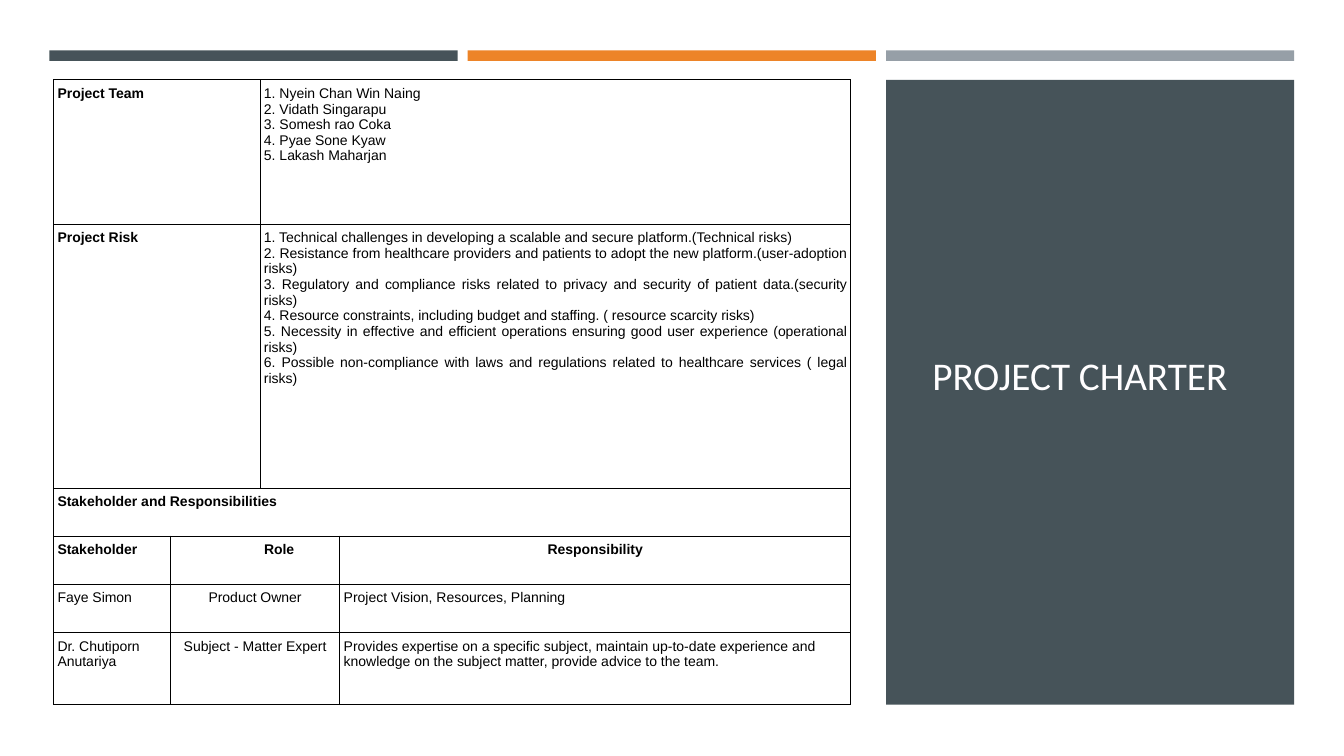
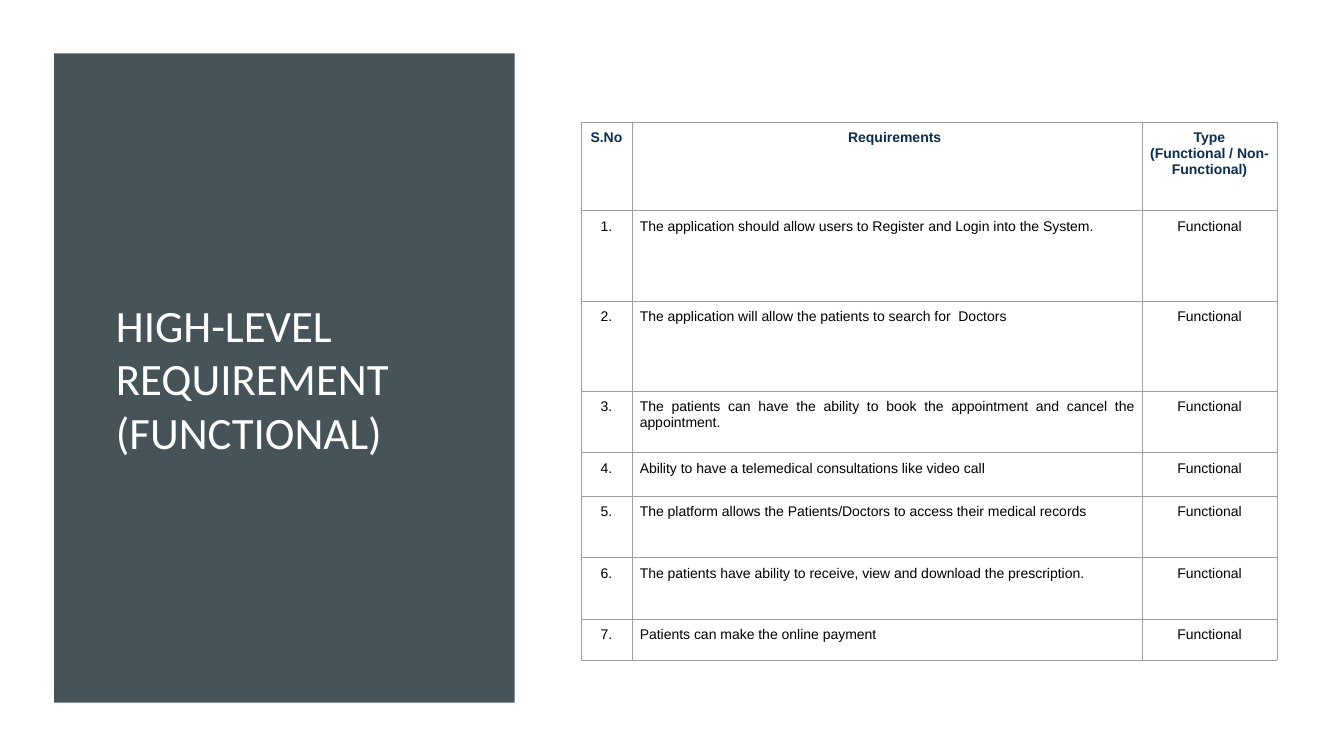
"""Build the project charter and functional requirement slides."""
from dataclasses import dataclass

import lxml.etree
import pptx
import pptx.dml.color
import pptx.enum.shapes
import pptx.enum.text
import pptx.oxml.ns
import pptx.slide
import pptx.table
import pptx.util

Pt = pptx.util.Pt
Align = pptx.enum.text.PP_ALIGN
LEFT, CENTER, JUSTIFY = Align.LEFT, Align.CENTER, Align.JUSTIFY

SLATE, ORANGE, GREY = "465359", "ED8428", "969FA7"
BLACK, NAVY, RULE = "000000", "0A2E4E", "9E9E9E"
WHITE, TITLE_WHITE = "FFFFFF", "FFFEFF"
BAR_LEFT, BAR_TOP, BAR_WIDTH, BAR_HEIGHT, BAR_PITCH = 35.3, 36, 291.6, 7.5, 298.8


@dataclass
class Box:
    """A rectangle in points."""
    left: float
    top: float
    width: float
    height: float

    def lengths(self) -> list[pptx.util.Length]:
        """Return the four measures as lengths."""
        return [Pt(v) for v in (self.left, self.top, self.width, self.height)]


@dataclass
class Title:
    """A slide title with its place and look."""
    text: str
    box: Box
    size: float
    color: str


@dataclass
class Cell:
    """A table cell; each line of text is a paragraph."""
    text: str
    align: Align = JUSTIFY
    bold: bool = False
    span: int = 1
    color: str = BLACK
    indent: float = 0


@dataclass
class Grid:
    """A bordered table and its measures in points."""
    left: float
    top: float
    cols: list[float]
    heights: list[float]
    margins: tuple[float, float]
    border: str
    border_width: float
    rows: list[list[Cell]]


def rgb(color: str) -> pptx.dml.color.RGBColor:
    """Turn a hex string into a colour."""
    return pptx.dml.color.RGBColor.from_string(color)


def add_block(s: pptx.slide.Slide, box: Box, color: str) -> None:
    """Draw a plain filled rectangle."""
    sp = s.shapes.add_shape(pptx.enum.shapes.MSO_SHAPE.RECTANGLE, *box.lengths())
    sp.shadow.inherit = False
    sp.fill.solid()
    sp.fill.fore_color.rgb = rgb(color)
    sp.line.fill.background()


def set_title(s: pptx.slide.Slide, title: Title) -> None:
    """Place the title placeholder over its panel and format it."""
    sp = s.shapes.title
    sp.left, sp.top, sp.width, sp.height = title.box.lengths()
    tf = sp.text_frame
    tf.text = title.text
    tf.word_wrap = True
    tf.auto_size = pptx.enum.text.MSO_AUTO_SIZE.NONE
    tf.vertical_anchor = pptx.enum.text.MSO_ANCHOR.MIDDLE
    for p in tf.paragraphs:
        p.alignment = LEFT
        for r in p.runs:
            r.font.name, r.font.size = "Calibri", Pt(title.size)
            r.font.color.rgb = rgb(title.color)


def add_slide(prs: pptx.presentation.Presentation, panel: Box, title: Title) -> pptx.slide.Slide:
    """Add a slide with a slate panel behind its title."""
    s = prs.slides.add_slide(prs.slide_layouts[5])
    add_block(s, panel, SLATE)
    tree = s.shapes.title.element.getparent()
    tree.append(s.shapes.title.element)
    set_title(s, title)
    return s


def set_borders(cell: pptx.table._Cell, color: str, width: float) -> None:
    """Rule all four sides of a cell."""
    qn = pptx.oxml.ns.qn
    props = cell._tc.get_or_add_tcPr()
    for i, side in enumerate(("a:lnL", "a:lnR", "a:lnT", "a:lnB")):
        ln = lxml.etree.Element(qn(side), w=str(int(Pt(width))))
        fill = lxml.etree.SubElement(ln, qn("a:solidFill"))
        lxml.etree.SubElement(fill, qn("a:srgbClr"), val=color)
        props.insert(i, ln)


def fill_cell(cell: pptx.table._Cell, content: Cell) -> None:
    """Write and format the text of a cell."""
    cell.text_frame.text = content.text
    for p in cell.text_frame.paragraphs:
        p.alignment = content.align
        if content.indent:
            p._p.get_or_add_pPr().set("marL", str(int(Pt(content.indent))))
        for r in p.runs:
            r.font.name, r.font.size, r.font.bold = "Arial", Pt(10), content.bold
            r.font.color.rgb = rgb(content.color)


def add_grid(s: pptx.slide.Slide, grid: Grid) -> None:
    """Draw a table with merged cells where a span asks for them."""
    box = Box(grid.left, grid.top, sum(grid.cols), sum(grid.heights))
    table = s.shapes.add_table(len(grid.heights), len(grid.cols), *box.lengths()).table
    table.first_row = table.horz_banding = False
    for col, width in zip(table.columns, grid.cols):
        col.width = Pt(width)
    for row, height in zip(table.rows, grid.heights):
        row.height = Pt(height)
    for cell in table.iter_cells():
        cell.fill.background()
        cell.margin_left = cell.margin_right = Pt(grid.margins[0])
        cell.margin_top = cell.margin_bottom = Pt(grid.margins[1])
        set_borders(cell, grid.border, grid.border_width)
    for i, contents in enumerate(grid.rows):
        j = 0
        for content in contents:
            cell = table.cell(i, j)
            if content.span > 1:
                cell.merge(table.cell(i, j + content.span - 1))
            fill_cell(cell, content)
            j += content.span


TEAM = """1. Nyein Chan Win Naing
2. Vidath Singarapu
3. Somesh rao Coka
4. Pyae Sone Kyaw
5. Lakash Maharjan"""

RISKS = """1. Technical challenges in developing a scalable and secure platform.(Technical risks)
2. Resistance from healthcare providers and patients to adopt the new platform.(user-adoption risks)
3. Regulatory and compliance risks related to privacy and security of patient data.(security risks)
4. Resource constraints, including budget and staffing. ( resource scarcity risks)
5. Necessity in effective and efficient operations ensuring good user experience (operational risks)
6. Possible non-compliance with laws and regulations related to healthcare services ( legal risks)"""

EXPERTISE = (
    "Provides expertise on a specific subject, maintain up-to-date experience and "
    "knowledge on the subject matter, provide advice to the team."
)

REQUIREMENTS = [
    "The application should allow users to Register and Login into the System.",
    "The application will allow the patients to search for  Doctors",
    "The patients can have the ability to book the appointment and cancel the appointment.",
    "Ability to have a telemedical consultations like video call",
    "The platform allows the Patients/Doctors to access their medical records",
    "The patients have ability to receive, view and download the prescription.",
    "Patients can make the online payment",
]

CHARTER = Grid(
    38.2, 57, [83.5, 64, 57, 365], [103, 188.6, 34.4, 34.4, 34.4, 51.6], (2.9, 4.3), BLACK, 0.67,
    [
        [Cell("Project Team", bold=True, span=2), Cell(TEAM, LEFT, span=2)],
        [Cell("Project Risk", bold=True, span=2), Cell(RISKS, span=2)],
        [Cell("Stakeholder and Responsibilities", bold=True, span=4)],
        [Cell("Stakeholder", bold=True), Cell("Role", bold=True, span=2, indent=64),
         Cell("Responsibility", CENTER, True)],
        [Cell("Faye Simon"), Cell("Product Owner", CENTER, span=2),
         Cell("Project Vision, Resources, Planning")],
        [Cell("Dr. Chutiporn\nAnutariya"), Cell("Subject - Matter Expert", CENTER, span=2),
         Cell(EXPERTISE, LEFT)],
    ],
)

FUNCTIONAL = Grid(
    414.9, 87.5, [36.5, 364.3, 96.5], [63, 64.5, 64.5, 44, 31, 44, 44, 29], (5.6, 5.6), RULE, 0.6,
    [
        [Cell("S.No", CENTER, True, color=NAVY),
         Cell("Requirements", CENTER, True, color=NAVY, indent=11),
         Cell("Type\n(Functional / Non-Functional)", CENTER, True, color=NAVY)],
        *([Cell(f"{n}.", CENTER), Cell(text), Cell("Functional", CENTER)]
          for n, text in enumerate(REQUIREMENTS, 1)),
    ],
)


def main() -> None:
    """Build both slides and save them."""
    prs = pptx.Presentation()
    prs.slide_width, prs.slide_height = Pt(960), Pt(540)

    panel = Box(BAR_LEFT + 2 * BAR_PITCH, 57, BAR_WIDTH, 446.4)
    title = Title("PROJECT CHARTER", Box(658.8, 82, 240.5, 371), 28, TITLE_WHITE)
    s = add_slide(prs, panel, title)
    for i, color in enumerate((SLATE, ORANGE, GREY)):
        add_block(s, Box(BAR_LEFT + i * BAR_PITCH, BAR_TOP, BAR_WIDTH, BAR_HEIGHT), color)
    add_grid(s, CHARTER)

    title = Title("HIGH-LEVEL REQUIREMENT\v(FUNCTIONAL)", Box(75.6, 88, 258, 364), 32, WHITE)
    s = add_slide(prs, Box(38.7, 38.2, 329, 463.7), title)
    add_grid(s, FUNCTIONAL)

    prs.save("out.pptx")


if __name__ == "__main__":
    main()
